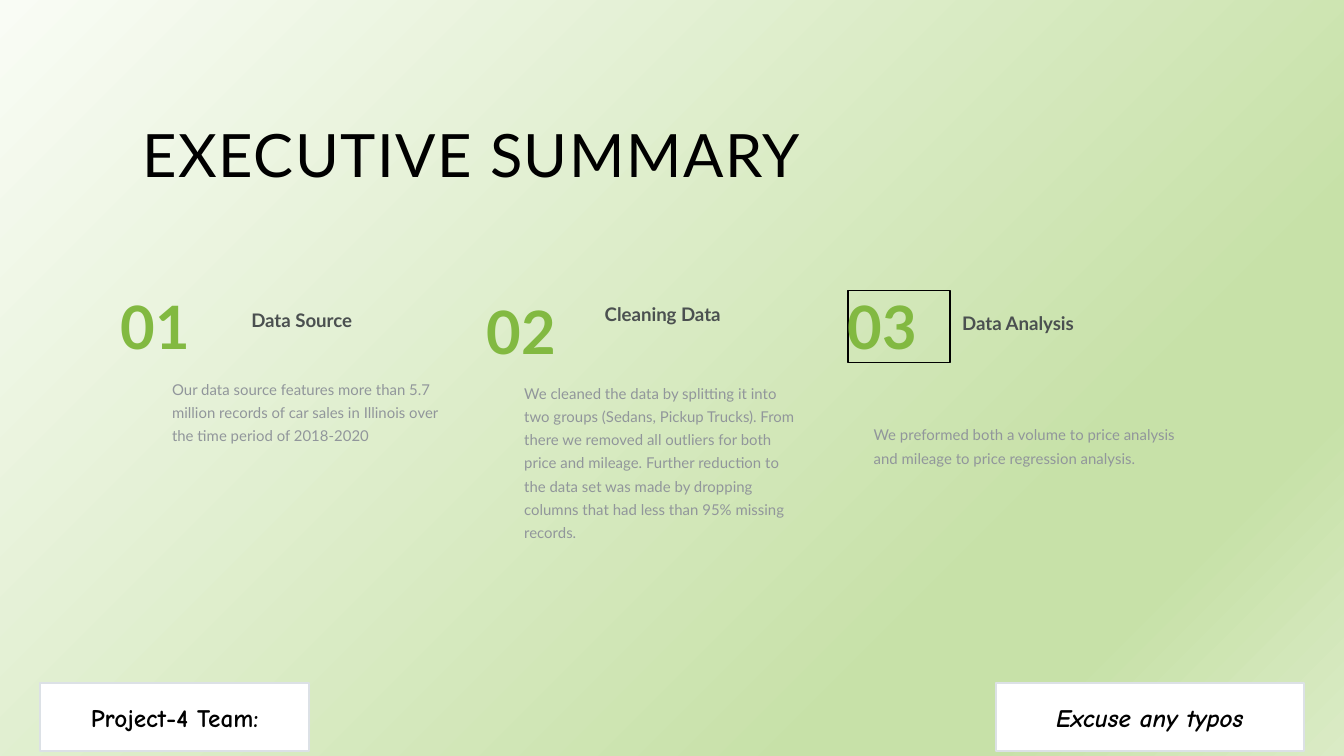
from lxml import etree
from pptx import Presentation
from pptx.dml.color import RGBColor
from pptx.enum.shapes import MSO_SHAPE
from pptx.enum.text import MSO_ANCHOR, MSO_AUTO_SIZE, PP_ALIGN
from pptx.oxml.ns import qn
from pptx.util import Inches, Pt

RECTANGLE = MSO_SHAPE.RECTANGLE
TOP, MIDDLE = MSO_ANCHOR.TOP, MSO_ANCHOR.MIDDLE
LEFT, CENTER = PP_ALIGN.LEFT, PP_ALIGN.CENTER
GROW, FIXED = MSO_AUTO_SIZE.SHAPE_TO_FIT_TEXT, MSO_AUTO_SIZE.NONE

COLORS = {
    "black": "000000",
    "white": "FFFFFF",
    "green": "82B941",
    "heading": "4B5050",
    "body": "91969B",
    "border": "DCE1E6",
}
BACKGROUND_STOPS = [(0, "F9FCF5"), (74, "C7E1A8"), (83, "C7E1A8"), (100, "DAEBC5")]

TITLE = "EXECUTIVE SUMMARY"
SECTIONS = [
    {
        "number": ("01", (0.9, 2.16, 0.64, 0.56)),
        "heading": ("Data Source", (1.87, 2.3, 1.46, 0.17)),
        "body": ("Our data source features more than 5.7 million records of car sales "
                 "in Illinois over the time period of 2018-2020", (1.28, 2.79, 2.05, 0.51)),
    },
    {
        "number": ("02", (3.62, 2.19, 0.64, 0.56)),
        "heading": ("Cleaning Data", (4.5, 2.25, 1.46, 0.17)),
        "body": ("We cleaned the data by splitting it into two groups (Sedans, Pickup Trucks). "
                 "From there we removed all outliers for both price and mileage. Further "
                 "reduction to the data set was made by dropping columns that had less than "
                 "95% missing records.", (3.9, 2.82, 2.05, 1.21)),
    },
    {
        "number": ("03", (6.31, 2.16, 0.76, 0.54)),
        "heading": ("Data Analysis", (7.16, 2.32, 1.63, 0.26)),
        "body": ("We preformed both a volume to price analysis and mileage to price "
                 "regression analysis.", (6.5, 3.13, 2.29, 0.78)),
        "outlined": True,
    },
]
SECTION_FORMATS = {
    "number": {"size": 32, "color": "green", "bold": True},
    "heading": {"size": 10, "color": "heading", "bold": True},
    "body": {"size": 8, "color": "body", "line_spacing": 1.3, "space_after": 9},
}
FOOTERS = [
    ("Project-4 Team:", (0.3, 5.08, 2, 0.51), False),
    ("Excuse any typos", (7.41, 5.08, 2.29, 0.51), True),
]


def rgb(name):
    return RGBColor.from_string(COLORS[name])


def write(shape, text, size, color, font="Lato", bold=False, italic=False, align=LEFT,
          anchor=TOP, inset=0, auto_size=GROW, line_spacing=None, space_after=None, tracking=None):
    frame = shape.text_frame
    frame.word_wrap = True
    frame.auto_size = auto_size
    frame.vertical_anchor = anchor
    if inset is not None:
        frame.margin_left = frame.margin_right = Inches(inset)
        frame.margin_top = frame.margin_bottom = Inches(inset)
    paragraph = frame.paragraphs[0]
    paragraph.alignment = align
    if line_spacing:
        paragraph.line_spacing = line_spacing
    if space_after:
        paragraph.space_after = Pt(space_after)
    run = paragraph.add_run()
    run.text = text
    run.font.name = font
    run.font.size = Pt(size)
    run.font.bold = bold
    run.font.italic = italic
    run.font.color.rgb = rgb(color)
    if tracking:
        run.font._element.set("spc", str(round(tracking * 100)))


def add_box(shapes, place, line, width, fill=None):
    box = shapes.add_shape(RECTANGLE, *map(Inches, place))
    box.shadow.inherit = False
    if fill:
        box.fill.solid()
        box.fill.fore_color.rgb = rgb(fill)
    else:
        box.fill.background()
    box.line.color.rgb = rgb(line)
    box.line.width = Pt(width)
    return box


def paint_background(slide):
    fill = slide.background.fill
    fill.gradient()
    fill.gradient_angle = 315
    stops = next(slide.element.iter(qn("a:gsLst")))
    for stop in list(stops):
        stops.remove(stop)
    for position, color in BACKGROUND_STOPS:
        stop = etree.SubElement(stops, qn("a:gs"), pos=str(position * 1000))
        etree.SubElement(stop, qn("a:srgbClr"), val=color)


presentation = Presentation()
presentation.slide_width = Inches(10)
presentation.slide_height = Inches(10) * 9 // 16
slide = presentation.slides.add_slide(presentation.slide_layouts[5])
paint_background(slide)

title = slide.shapes.title
title.left, title.top, title.width, title.height = map(Inches, (1.06, 0.88, 8.29, 0.54))
write(title, TITLE, size=32, color="black", tracking=0.8)

for section in SECTIONS:
    group = slide.shapes.add_group_shape()
    for part, text_format in SECTION_FORMATS.items():
        text, place = section[part]
        if part == "number" and section.get("outlined"):
            holder = add_box(group.shapes, place, "black", 0.75)
        else:
            holder = group.shapes.add_textbox(*map(Inches, place))
        write(holder, text, **text_format)

for text, place, italic in FOOTERS:
    footer = add_box(slide.shapes, place, "border", 1, fill="white")
    write(footer, text, size=13.5, color="black", font="Comic Neue", bold=True, italic=italic,
          align=CENTER, anchor=MIDDLE, inset=None, auto_size=FIXED)

presentation.save("out.pptx")
